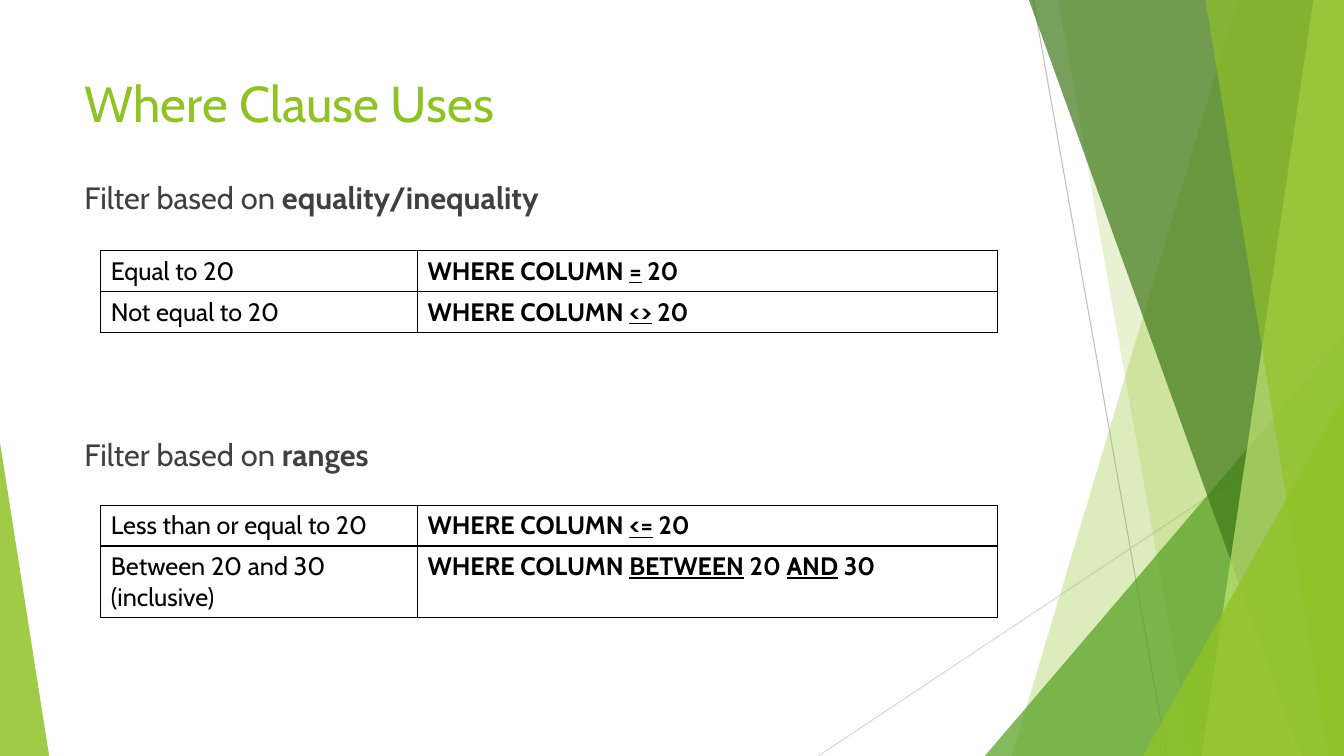
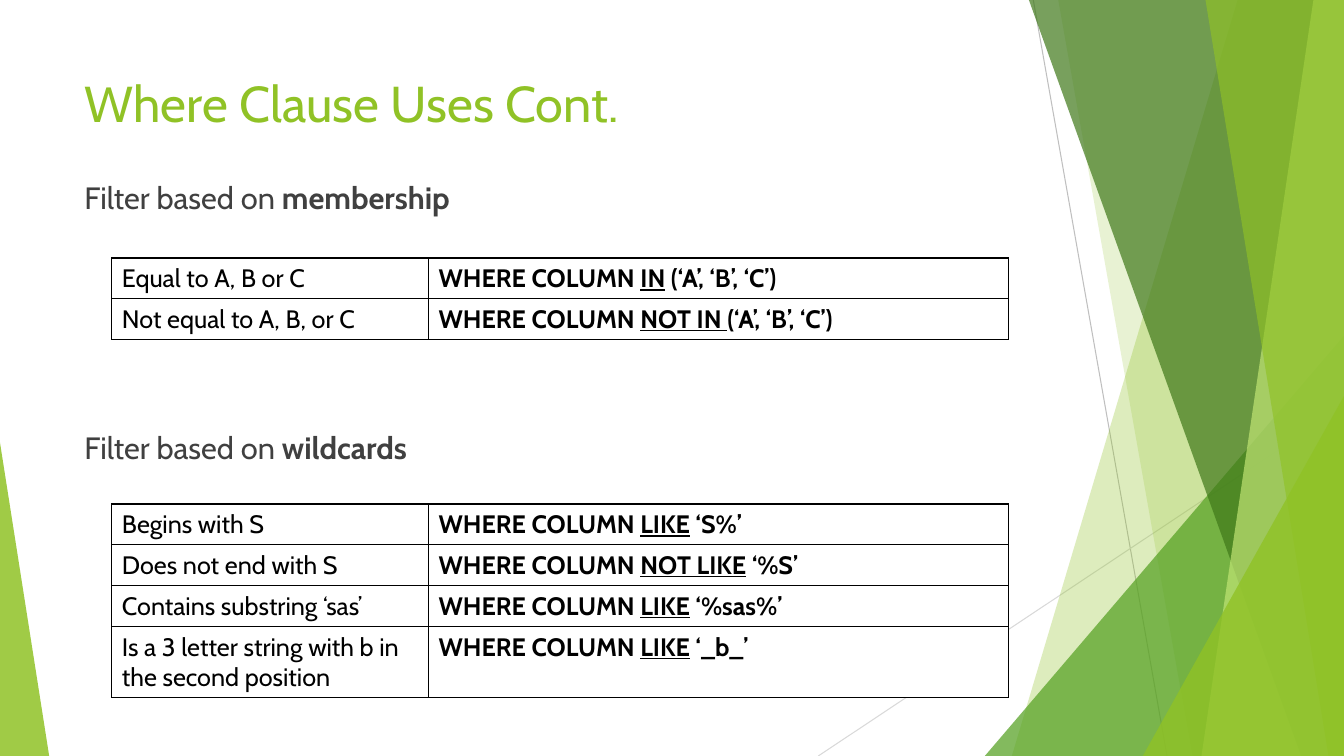
from itertools import cycle

from lxml.etree import SubElement
from pptx import Presentation
from pptx.dml.color import RGBColor
from pptx.enum.shapes import MSO_CONNECTOR, MSO_SHAPE
from pptx.oxml.ns import qn
from pptx.util import Cm, Pt

WIDTH, HEIGHT = 33.87, 19.05
LEAF, FOREST, MOSS, LIME = "90C226", "54A021", "3F7819", "C0E474"
TEXT, BLACK, WHITE = "404040", "000000", "FFFFFF"
ROW_HEIGHT, TALL_ROW_HEIGHT = 1.03, 1.79
COLUMN_WIDTHS = (7.98, 14.61)


def color(value):
    return RGBColor.from_string(value)


def write(para, text, size=18, ink=BLACK, bold=False, mark=None):
    """Parts between bars get the font attribute named by mark."""
    for part, marked in zip(text.split("|"), cycle((False, True))):
        if not part:
            continue
        span = para.add_run()
        span.text = part
        span.font.name = "Cabin"
        span.font.size = Pt(size)
        span.font.color.rgb = color(ink)
        span.font.bold = bold
        if marked:
            setattr(span.font, mark, True)


class Painter:
    def __init__(self):
        self.deck = Presentation()
        self.deck.slide_width = Cm(WIDTH)
        self.deck.slide_height = Cm(HEIGHT)
        self.page = None

    def start_page(self, title):
        self.page = self.deck.slides.add_slide(self.deck.slide_layouts[6])
        self.backdrop()
        frame = self.text_box(1.88, 1.7, 23.88, 3.66)
        write(frame.paragraphs[0], title, size=36, ink=LEAF)

    def backdrop(self):
        self.line(26.04, 0, 29.41, HEIGHT, "BFBFBF")
        self.line(WIDTH, 10.24, 20.62, HEIGHT, "D9D9D9")
        self.band(31.19, 25.5, LEAF, 30)
        self.band(26.67, 30.05, LEAF, 20)
        self.triangle(24.82, 8.46, 9.05, FOREST, 72, tip=1)
        self.band(25.93, 32.79, MOSS, 70)
        self.band(33.1, 30.28, LIME, 70)
        self.band(30.38, 33.48, LEAF, 65)
        self.triangle(28.8, 9.98, 5.07, LEAF, 80, tip=1)
        self.triangle(0, 11.15, 1.24, LEAF, 85, tip=0)

    def line(self, x1, y1, x2, y2, ink):
        line = self.page.shapes.add_connector(
            MSO_CONNECTOR.STRAIGHT, Cm(x1), Cm(y1), Cm(x2), Cm(y2))
        line.line.color.rgb = color(ink)
        line.line.width = Pt(0.75)
        SubElement(line.element.spPr, qn("a:effectLst"))

    def tint(self, shape, fill, opacity):
        shape.shadow.inherit = False
        shape.line.fill.background()
        shape.fill.solid()
        shape.fill.fore_color.rgb = color(fill)
        tone = shape.element.spPr.find(".//" + qn("a:srgbClr"))
        SubElement(tone, qn("a:alpha"), val=str(opacity * 1000))

    def band(self, top_x, bottom_x, fill, opacity):
        outline = self.page.shapes.build_freeform(Cm(top_x), 0)
        corners = ((WIDTH, 0), (WIDTH, HEIGHT), (bottom_x, HEIGHT))
        outline.add_line_segments([(Cm(x), Cm(y)) for x, y in corners])
        self.tint(outline.convert_to_shape(), fill, opacity)

    def triangle(self, left, top, width, fill, opacity, tip):
        shape = self.page.shapes.add_shape(
            MSO_SHAPE.ISOSCELES_TRIANGLE,
            Cm(left), Cm(top), Cm(width), Cm(HEIGHT - top))
        shape.adjustments[0] = tip
        self.tint(shape, fill, opacity)

    def text_box(self, left, top, width, height):
        box = self.page.shapes.add_textbox(
            Cm(left), Cm(top), Cm(width), Cm(height))
        box.text_frame.word_wrap = True
        return box.text_frame

    def headings(self, first, second, gap):
        frame = self.text_box(1.88, 4.39, 25.43, 12.95)
        for para, topic in ((frame.paragraphs[0], first),
                            (frame.add_paragraph(), second)):
            write(para, f"Filter based on |{topic}|",
                  size=22, ink=TEXT, mark="bold")
        para.space_before = Pt(gap)

    def table(self, left, top, rows, last_height=ROW_HEIGHT):
        heights = [ROW_HEIGHT] * (len(rows) - 1) + [last_height]
        grid = self.page.shapes.add_table(
            len(rows), 2, Cm(left), Cm(top),
            Cm(sum(COLUMN_WIDTHS)), Cm(sum(heights))).table
        grid.first_row = grid.horz_banding = False
        for column, width in zip(grid.columns, COLUMN_WIDTHS):
            column.width = Cm(width)
        for index, (meaning, condition) in enumerate(rows):
            grid.rows[index].height = Cm(heights[index])
            self.cell(grid.cell(index, 0), meaning)
            self.cell(grid.cell(index, 1), f"WHERE COLUMN {condition}",
                      bold=True, mark="underline")

    def cell(self, cell, text, **style):
        properties = cell._tc.get_or_add_tcPr()
        for side in ("lnL", "lnR", "lnT", "lnB"):
            border = SubElement(properties, qn(f"a:{side}"), w=str(Pt(1)))
            fill = SubElement(border, qn("a:solidFill"))
            SubElement(fill, qn("a:srgbClr"), val=BLACK)
        cell.fill.solid()
        cell.fill.fore_color.rgb = color(WHITE)
        write(cell.text_frame.paragraphs[0], text, **style)


painter = Painter()

painter.start_page("Where Clause Uses")
painter.headings("equality/inequality", "ranges", gap=157)
painter.table(2.54, 6.32, [
    ("Equal to 20", "|=| 20"),
    ("Not equal to 20", "|<>| 20"),
])
painter.table(2.54, 12.73, [
    ("Less than or equal to 20", "|<=| 20"),
    ("Between 20 and 30 (inclusive)", "|BETWEEN| 20 |AND| 30"),
], last_height=TALL_ROW_HEIGHT)

painter.start_page("Where Clause Uses Cont.")
painter.headings("membership", "wildcards", gap=152)
painter.table(2.82, 6.5, [
    ("Equal to A, B or C", "|IN| (‘A’, ‘B’, ‘C’)"),
    ("Not equal to A, B, or C", "|NOT IN |(‘A’, ‘B’, ‘C’)"),
])
painter.table(2.82, 12.7, [
    ("Begins with S", "|LIKE| ‘S%’"),
    ("Does not end with S", "|NOT LIKE| ‘%S’"),
    ("Contains substring ‘sas’", "|LIKE| ‘%sas%’"),
    ("Is a 3 letter string with b in the second position",
     "|LIKE| ‘_b_’"),
], last_height=TALL_ROW_HEIGHT)

painter.deck.save("out.pptx")
